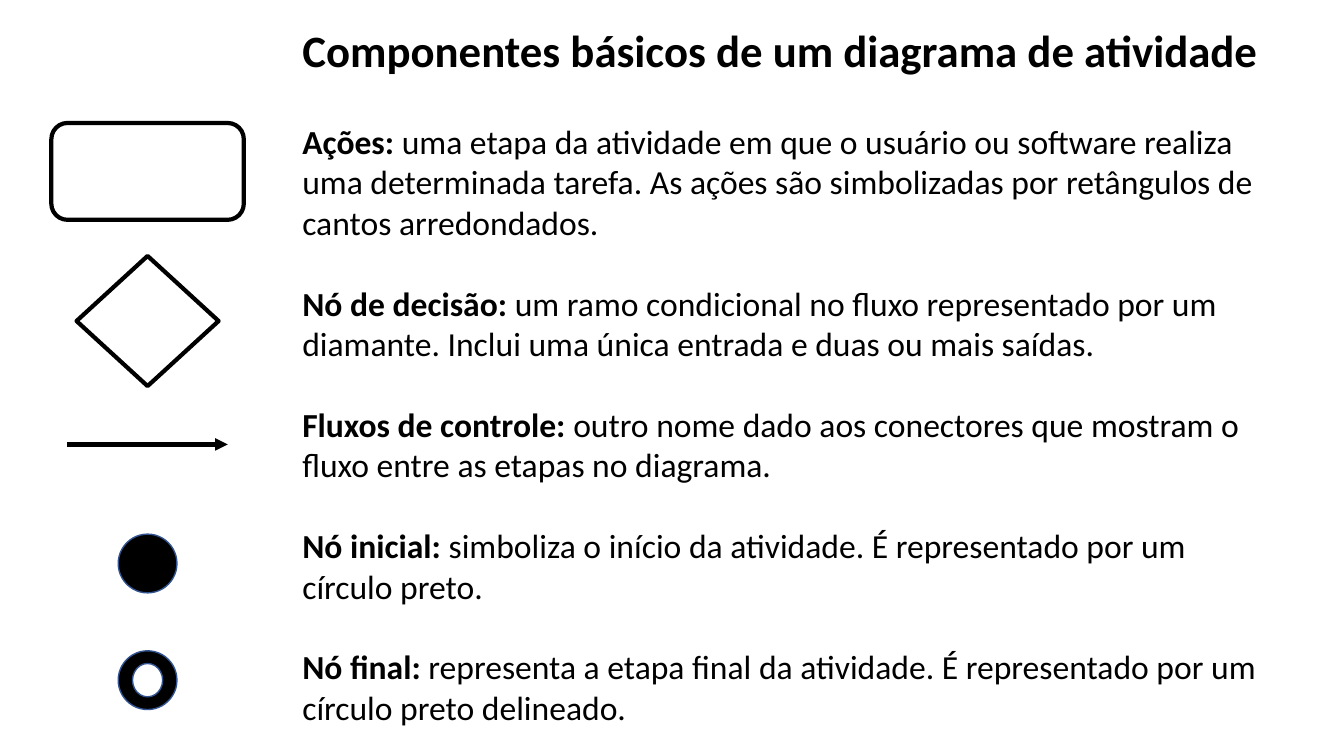
import pptx
import pptx.dml.color
import pptx.enum.shapes
import pptx.oxml
import pptx.oxml.ns
import pptx.util
from pptx.util import Cm, Pt

COLORS = {"black": "000000", "white": "FFFFFF", "blue": "325491"}
FONT = "Calibri"
TITLE = "Componentes básicos de um diagrama de atividade"
ITEMS = [
    ("Ações:", "uma etapa da atividade em que o usuário ou software realiza "
     "uma determinada tarefa. As ações são simbolizadas por retângulos de "
     "cantos arredondados."),
    ("Nó de decisão:", "um ramo condicional no fluxo representado por um "
     "diamante. Inclui uma única entrada e duas ou mais saídas."),
    ("Fluxos de controle:", "outro nome dado aos conectores que mostram o "
     "fluxo entre as etapas no diagrama."),
    ("Nó inicial:", "simboliza o início da atividade. É representado por um "
     "círculo preto."),
    ("Nó final:", "representa a etapa final da atividade. É representado por "
     "um círculo preto delineado."),
]


def rgb(name):
    return pptx.dml.color.RGBColor.from_string(COLORS[name])


def style(par, size):
    par.font.name = FONT
    par.font.size = Pt(size)
    par.font.color.rgb = rgb("black")


deck = pptx.Presentation()
deck.slide_width, deck.slide_height = Cm(33.87), Cm(19.05)
slide = deck.slides.add_slide(deck.slide_layouts[6])

# Title and definitions
box = slide.shapes.add_textbox(Cm(7.37), Cm(0.46), Cm(24.77), Cm(18.14))
frame = box.text_frame
frame.word_wrap = True
head = frame.paragraphs[0]
head.text = TITLE
style(head, 32)
head.font.bold = True

for index, (term, text) in enumerate(ITEMS):
    par = frame.add_paragraph()
    style(par, 24)
    par.space_before = Pt(29 if index else 31.5)
    label = par.add_run()
    label.text = term
    label.font.bold = True
    par.add_run().text = " " + text

# Symbols, all centred on one vertical axis
axis = 3.72
kinds = pptx.enum.shapes.MSO_SHAPE
symbols = [  # kind, centre y, width, height, fill, line colour, line width
    (kinds.ROUNDED_RECTANGLE, 4.32, 4.85, 2.44, None, "black", 3),
    (kinds.DIAMOND, 8.09, 3.58, 3.28, None, "black", 3),
    (kinds.OVAL, 14.2, 1.48, 1.48, "black", "blue", 1),
    (kinds.OVAL, 17.14, 1.48, 1.48, "black", "blue", 1),
    (kinds.OVAL, 17.14, 0.76, 0.84, "white", "blue", 1),
]
for kind, mid, wide, high, fill, line, width in symbols:
    shape = slide.shapes.add_shape(
        kind, Cm(axis - wide / 2), Cm(mid - high / 2), Cm(wide), Cm(high))
    shape.shadow.inherit = False
    if fill:
        shape.fill.solid()
        shape.fill.fore_color.rgb = rgb(fill)
    else:
        shape.fill.background()
    shape.line.color.rgb = rgb(line)
    shape.line.width = Pt(width)

# Control flow arrow
reach, level = 2.02, 11.2
arrow = slide.shapes.add_connector(
    pptx.enum.shapes.MSO_CONNECTOR.STRAIGHT,
    Cm(axis - reach), Cm(level), Cm(axis + reach), Cm(level))
arrow.line.color.rgb = rgb("black")
arrow.line.width = Pt(3)
tip = pptx.oxml.parse_xml(
    f'<a:tailEnd {pptx.oxml.ns.nsdecls("a")} type="triangle"/>')
arrow.line._get_or_add_ln().append(tip)
arrow._element.spPr.append(
    pptx.oxml.parse_xml(f'<a:effectLst {pptx.oxml.ns.nsdecls("a")}/>'))

deck.save("out.pptx")
